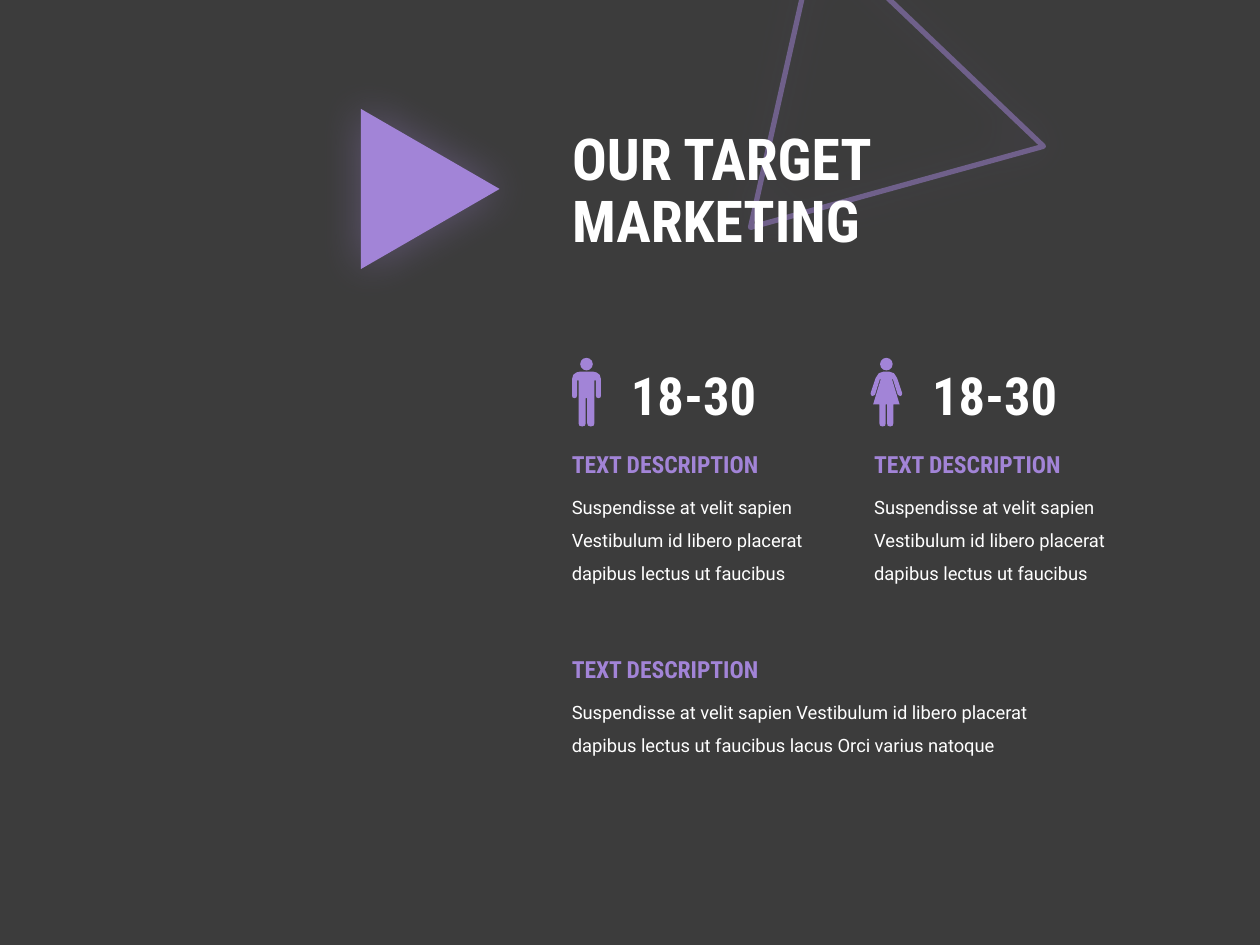
"""Build a target marketing slide with two audience groups on a 100 by 75 grid."""
import pptx
import pptx.dml.color
import pptx.enum.shapes
import pptx.enum.text
import pptx.oxml
import pptx.util
import lxml.etree

DARK, WHITE, PURPLE = "3C3C3C", "FFFFFF", "A284D7"
HEADING_FONT, BODY_FONT = "Roboto Condensed", "Roboto"
NAMESPACE = "http://schemas.openxmlformats.org/drawingml/2006/main"
SHADOW = (
    f'<a:effectLst xmlns:a="{NAMESPACE}"><a:outerShdw blurRad="317500" dist="0" dir="0" '
    f'algn="ctr" rotWithShape="0"><a:srgbClr val="{PURPLE}"><a:alpha val="35000"/>'
    "</a:srgbClr></a:outerShdw></a:effectLst>"
)
DESCRIPTION = "Suspendisse at velit sapien Vestibulum id libero placerat dapibus lectus ut faucibus"

presentation = pptx.Presentation()
presentation.slide_width = pptx.util.Inches(10)
presentation.slide_height = pptx.util.Inches(7.5)
column = presentation.slide_width / 100
row = presentation.slide_height / 75
slide = presentation.slides.add_slide(presentation.slide_layouts[5])


def paint(fill, colour):
    """Make a fill solid in a hex colour."""
    fill.solid()
    fill.fore_color.rgb = pptx.dml.color.RGBColor.from_string(colour)


def write(text, *, left, top, width, height, size, shape=None, font=HEADING_FONT,
          colour=WHITE, bold=True, spacing=1.0):
    """Place text in grid units, in a given shape or a new text box."""
    box = [int(left * column), int(top * row), int(width * column), int(height * row)]
    if shape is None:
        shape = slide.shapes.add_textbox(*box)
        shape.text_frame.auto_size = pptx.enum.text.MSO_AUTO_SIZE.SHAPE_TO_FIT_TEXT
    else:
        shape.left, shape.top, shape.width, shape.height = box
        shape.text_frame.auto_size = pptx.enum.text.MSO_AUTO_SIZE.NONE
        shape.text_frame.vertical_anchor = pptx.enum.text.MSO_ANCHOR.MIDDLE
    shape.text_frame.word_wrap = True
    paragraph = shape.text_frame.paragraphs[0]
    paragraph.text = text
    paragraph.alignment = pptx.enum.text.PP_ALIGN.LEFT
    paragraph.line_spacing = spacing
    for run in paragraph.runs:
        run.font.name, run.font.size, run.font.bold = font, pptx.util.Pt(size), bold
        paint(run.font.fill, colour)


paint(slide.background.fill, DARK)
title = slide.shapes.title
write("OUR TARGET\vMARKETING", shape=title, left=44.4, top=7.4, width=42.2, height=15.8,
      size=33, spacing=0.9)

for left, top, width, height, rotation, outlined in (
    (54.3, 0.2, 24.8, 20.7, 223.6, True),
    (27.8, 9.5, 12.7, 11, 90, False),
):
    triangle = slide.shapes.add_shape(
        pptx.enum.shapes.MSO_SHAPE.ISOSCELES_TRIANGLE,
        int(left * column), int(top * row), int(width * column), int(height * row))
    triangle.rotation = rotation
    if outlined:
        triangle.fill.background()
        triangle.line.width = pptx.util.Pt(3)
        paint(triangle.line.fill, PURPLE)
        line_colour = triangle.line.fill._xPr.find(f".//{{{NAMESPACE}}}srgbClr")
        lxml.etree.SubElement(line_colour, f"{{{NAMESPACE}}}alpha", val="50000")
        title.element.addprevious(triangle.element)
    else:
        paint(triangle.fill, PURPLE)
        triangle.line.fill.background()
    triangle.element.spPr.append(pptx.oxml.parse_xml(SHADOW))

man_half = [
    (0, 0), (55, 0), (80, 6), (105, 25), (115, 60), (115, 190), (110, 205), (95, 210),
    (80, 205), (75, 190), (75, 70), (63, 70), (63, 410), (57, 428), (35, 435), (12, 428),
    (6, 410), (6, 210), (0, 210),
]
woman_half = [
    (0, 0), (25, 0), (60, 12), (85, 50), (125, 170), (123, 186), (110, 194), (90, 183),
    (52, 60), (45, 60), (105, 260), (55, 260), (55, 410), (50, 428), (30, 435), (10, 428),
    (6, 410), (6, 260), (0, 260),
]
for centre, half in ((46.55, man_half), (70.35, woman_half)):
    figure = slide.shapes.add_group_shape()
    head = figure.shapes.add_shape(
        pptx.enum.shapes.MSO_SHAPE.OVAL,
        int((centre - 0.5) * column), int(28.4 * row), int(column), int(row))
    outline = half + [(-x, y) for x, y in reversed(half)]
    builder = figure.shapes.build_freeform(*outline[0], scale=column / 100)
    builder.add_line_segments(outline[1:], close=True)
    body = builder.convert_to_shape(int(centre * column), int(29.5 * row))
    for part in (head, body):
        part.shadow.inherit = False
        paint(part.fill, PURPLE)
        part.line.fill.background()

for left, top, width, height, description in (
    (44.4, 35.2, 21.4, 8.7, DESCRIPTION),
    (68.4, 35.2, 21.4, 8.7, DESCRIPTION),
    (44.4, 51.5, 38.5, 6, DESCRIPTION + " lacus Orci varius natoque"),
):
    write(description, left=left, top=top + 2.8, width=width, height=height,
          size=10.5, font=BODY_FONT, bold=False, spacing=1.5)
    write("TEXT DESCRIPTION", left=left, top=top, width=18.4, height=3.3,
          size=13.5, colour=PURPLE)

for left in (49.1, 73):
    write("18-30", left=left, top=28.3, width=13.4, height=6.1, size=30)

presentation.save("out.pptx")
